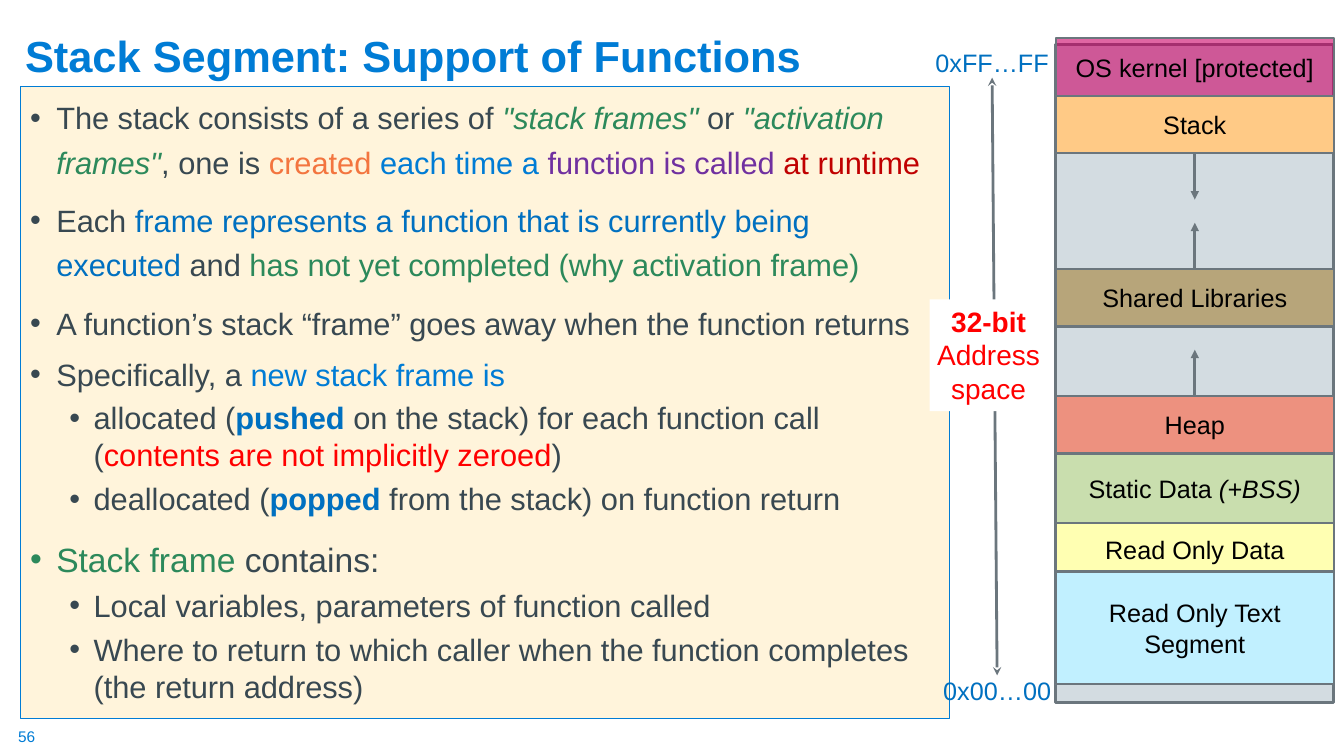
"""Build the slide on the stack segment and its 32-bit address space."""
from dataclasses import dataclass
from typing import NamedTuple

from lxml.etree import SubElement
from pptx import Presentation
from pptx.dml.color import RGBColor
from pptx.enum.shapes import MSO_CONNECTOR, MSO_SHAPE
from pptx.enum.text import MSO_ANCHOR, PP_ALIGN
from pptx.oxml.ns import qn
from pptx.util import Pt

PX = 9144
COLORS = {
    "title": "007CD5", "text": "384851", "blue": "0070C0", "green": "2C895B",
    "orange": "F3753F", "purple": "7030A0", "maroon": "C00000", "red": "FF0000",
    "black": "000000", "white": "FFFFFF", "cream": "FFF4DB", "edge": "6B767D",
    "free": "D3DCE1", "kernel": "CC0066", "stack": "FFCA86", "heap": "ED917F",
    "static": "C9DEAE", "shared": "B7A57A", "rodata": "FFFFB2", "code": "C1F0FF",
}


class Run(NamedTuple):
    text: str
    color: str = "text"
    bold: bool = False
    italic: bool = False


@dataclass
class Para:
    runs: list[Run]
    size: int = 22
    level: int = 0
    spacing: float = 1.0
    before: int = 0
    bullet: bool = False
    align: PP_ALIGN = PP_ALIGN.LEFT


@dataclass
class Box:
    left: int
    top: int
    width: int
    height: int
    paras: list[Para]
    fill: str = ""
    line: str = ""
    line_width: float = 0.75
    alpha: int = 100
    anchor: MSO_ANCHOR = MSO_ANCHOR.TOP
    insets: tuple[int, int] = (10, 5)
    wrap: bool = True


class Arrow(NamedTuple):
    start: tuple[int, int]
    end: tuple[int, int]
    head: str = ""
    tail: str = ""


class Segment(NamedTuple):
    runs: list[Run]
    top: int
    height: int
    fill: str
    alpha: int = 100


def rgb(name: str) -> RGBColor:
    """Look up a named colour."""
    return RGBColor.from_string(COLORS[name])


def apply(target: object, values: dict) -> None:
    """Set every attribute in values on the target."""
    for name, value in values.items():
        setattr(target, name, value)


def write(tf, para: Para, first: bool) -> None:
    """Add one paragraph with its runs to a text frame."""
    p = tf.paragraphs[0] if first else tf.add_paragraph()
    if para.bullet:
        margin, indent = ((26, -26), (63, -24))[para.level]
        ppr = p._p.get_or_add_pPr()
        ppr.set("marL", str(margin * PX))
        ppr.set("indent", str(indent * PX))
        SubElement(ppr, qn("a:buFont")).set("typeface", "Arial")
        SubElement(ppr, qn("a:buChar")).set("char", "•")
    apply(p, {"level": para.level, "alignment": para.align,
              "line_spacing": para.spacing,
              "space_before": Pt(0 if first else para.before)})
    for run in para.runs:
        r = p.add_run()
        r.text = run.text
        apply(r.font, {"name": "Arial", "size": Pt(para.size),
                       "bold": run.bold, "italic": run.italic})
        r.font.color.rgb = rgb(run.color)


def draw_box(s, box: Box) -> None:
    """Draw a text box, or a rectangle when the box has a fill."""
    frame = [v * PX for v in (box.left, box.top, box.width, box.height)]
    if box.fill:
        sp = s.shapes.add_shape(MSO_SHAPE.RECTANGLE, *frame)
        sp.shadow.inherit = False
        sp.fill.solid()
        sp.fill.fore_color.rgb = rgb(box.fill)
        if box.alpha < 100:
            color = sp._element.spPr.find(qn("a:solidFill"))[0]
            SubElement(color, qn("a:alpha")).set("val", str(box.alpha * 1000))
        if box.line:
            sp.line.color.rgb = rgb(box.line)
            sp.line.width = Pt(box.line_width)
        else:
            sp.line.fill.background()
    else:
        sp = s.shapes.add_textbox(*frame)
    tf = sp.text_frame
    side, edge = (v * PX for v in box.insets)
    apply(tf, {"word_wrap": box.wrap, "vertical_anchor": box.anchor,
               "margin_left": side, "margin_right": side,
               "margin_top": edge, "margin_bottom": edge})
    for i, para in enumerate(box.paras):
        write(tf, para, i == 0)


def draw_arrow(s, arrow: Arrow) -> None:
    """Draw a straight connector with its arrowheads."""
    ends = [v * PX for v in (*arrow.start, *arrow.end)]
    sp = s.shapes.add_connector(MSO_CONNECTOR.STRAIGHT, *ends)
    sp.line.color.rgb = rgb("edge")
    sp.line.width = Pt(2)
    ln = sp.line._get_or_add_ln()
    for tag, kind in (("a:headEnd", arrow.head), ("a:tailEnd", arrow.tail)):
        if kind:
            SubElement(ln, qn(tag)).set("type", kind)
    SubElement(sp._element.spPr, qn("a:effectLst"))


def point(*runs: Run, size: int = 22, spacing: float = 1.2) -> Para:
    """Make a first-level bullet."""
    return Para(list(runs), size, 0, spacing, 10, True)


def detail(*runs: Run) -> Para:
    """Make a second-level bullet."""
    return Para(list(runs), level=1, before=5, bullet=True)


def label(*runs: Run, size: int = 18) -> list[Para]:
    """Make one centred paragraph."""
    return [Para(list(runs), size, align=PP_ALIGN.CENTER)]


BODY = [
    point(Run("The stack consists of a series of "),
          Run('"stack frames" ', "green", italic=True), Run("or "),
          Run('"activation frames"', "green", italic=True), Run(", one is "),
          Run("created", "orange"), Run(" each time a ", "title"),
          Run("function is called ", "purple"), Run("at runtime", "maroon")),
    point(Run("Each "),
          Run("frame represents a function that is currently being executed", "blue"),
          Run(" and "),
          Run("has not yet completed (why activation frame)", "green")),
    point(Run("A function’s stack “frame” goes away when the function returns")),
    point(Run("Specifically, a "), Run("new stack frame is", "title"), spacing=1.0),
    detail(Run("allocated ("), Run("pushed", "blue", True),
           Run(" on the stack) for each function call ("),
           Run("contents are not implicitly zeroed", "red"), Run(")")),
    detail(Run("deallocated ("), Run("popped", "blue", True),
           Run(" from the stack) on function return")),
    point(Run("Stack frame ", "green"), Run("contains:"), size=24),
    detail(Run("Local variables, parameters of function called")),
    detail(Run("Where to return to which caller when the function completes "
               "(the return address)")),
]
SEGMENTS = [
    Segment([], 44, 653, "free"),
    Segment([Run("OS kernel [protected]", "black")], 38, 57, "kernel", 60),
    Segment([Run("Stack", "black")], 95, 57, "stack"),
    Segment([Run("Heap", "black")], 393, 57, "heap"),
    Segment([Run("Static Data", "black"), Run(" (+BSS)", "black", italic=True)],
            450, 69, "static"),
    Segment([Run("Shared Libraries", "black")], 267, 57, "shared"),
    Segment([Run("Read Only Data", "black")], 519, 52, "rodata"),
    Segment([Run("Read Only Text Segment", "black")], 567, 112, "code"),
]
BOXES = [
    Box(18, 721, 19, 19, [Para([Run("56", "title")], 11)], insets=(0, 0), wrap=False),
    Box(15, 8, 1150, 78, [Para([Run("Stack Segment: Support of Functions", "title", True)],
                               31, spacing=0.9)], anchor=MSO_ANCHOR.BOTTOM),
    Box(20, 86, 922, 627, BODY, "cream", "title"),
    Box(914, 47, 140, 30, label(Run("0xFF…FF", "blue")), insets=(10, 0)),
    Box(924, 670, 130, 30, label(Run("0x00…00", "blue")), insets=(10, 0)),
]
SPACE_ARROW = Arrow((984, 77), (989, 670), "stealth", "stealth")
SPACE_LABEL = Box(922, 297, 117, 111, label(Run("32-bit", "red", True),
                  Run(" Address space", "red"), size=20), "white", insets=(5, 5))
GROWTH = [Arrow((1185, 152), (1185, 198), tail="triangle"),
          Arrow((1185, 221), (1185, 267), head="triangle"),
          Arrow((1185, 347), (1185, 393), head="triangle")]


def main() -> None:
    """Draw the slide and save it."""
    prs = Presentation()
    apply(prs, {"slide_width": 1333 * PX, "slide_height": 750 * PX})
    s = prs.slides.add_slide(prs.slide_layouts[6])
    for box in BOXES:
        draw_box(s, box)
    draw_arrow(s, SPACE_ARROW)
    draw_box(s, SPACE_LABEL)
    for seg in SEGMENTS:
        draw_box(s, Box(1047, seg.top, 276, seg.height,
                        label(*seg.runs) if seg.runs else [], seg.fill, "edge",
                        1.5 if seg.runs else 2, seg.alpha, MSO_ANCHOR.MIDDLE))
    for arrow in GROWTH:
        draw_arrow(s, arrow)
    prs.save("out.pptx")


if __name__ == "__main__":
    main()
